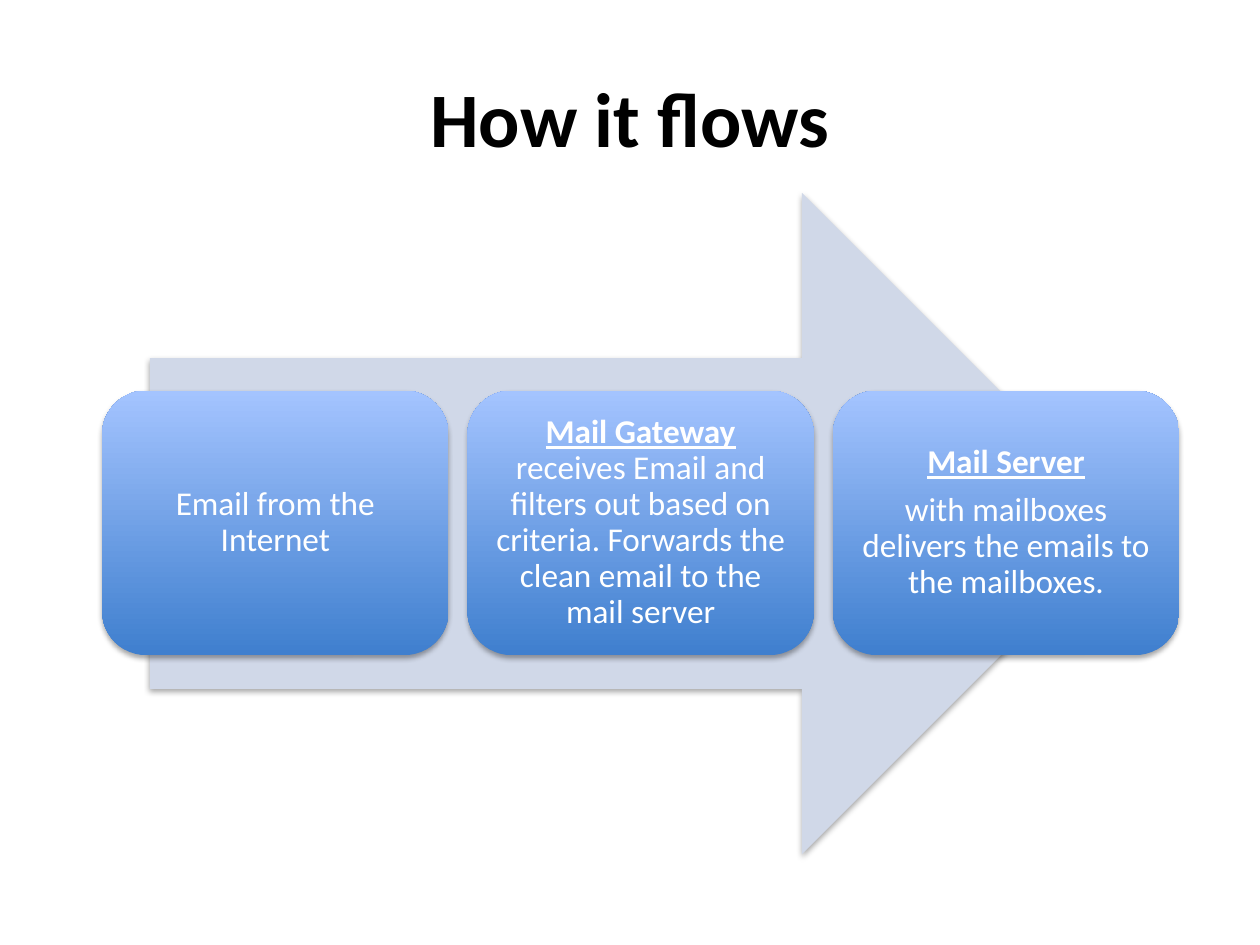
from lxml import etree
from pptx import Presentation
from pptx.dml.color import RGBColor
from pptx.enum.shapes import MSO_SHAPE as Shape
from pptx.enum.text import MSO_ANCHOR as Anchor, PP_ALIGN as Align
from pptx.oxml import parse_xml
from pptx.util import Inches, Pt

BLACK = RGBColor(0x00, 0x00, 0x00)
WHITE = RGBColor(0xFF, 0xFF, 0xFF)
PALE_BLUE = RGBColor(0xD0, 0xD8, 0xE8)
DARK_BLUE = RGBColor(0x3F, 0x7F, 0xCE)
LIGHT_BLUE = RGBColor(0xA4, 0xC4, 0xFF)

SHADOW = """<a:effectLst xmlns:a="http://schemas.openxmlformats.org/drawingml/2006/main">
<a:outerShdw blurRad="39370" dist="22860" dir="5400000" rotWithShape="0">
<a:srgbClr val="000000"><a:alpha val="35000"/></a:srgbClr>
</a:outerShdw></a:effectLst>"""


def write_text(paragraph, text, size=19, color=WHITE, bold=False, underline=False):
    paragraph.alignment = Align.CENTER
    run = paragraph.add_run()
    run.text = text
    run.font.name = "Calibri"
    run.font.size = Pt(size)
    run.font.color.rgb = color
    run.font.bold = bold
    run.font.underline = underline


def add_shadowed_shape(slide, kind, left, top, width, height):
    shape = slide.shapes.add_shape(kind, *map(Inches, (left, top, width, height)))
    shape.line.fill.background()
    properties = shape.fill._xPr
    properties.append(parse_xml(etree.tostring(etree.fromstring(SHADOW))))
    return shape


presentation = Presentation()
presentation.slide_width = Inches(10)
presentation.slide_height = Inches(7.5)
slide = presentation.slides.add_slide(presentation.slide_layouts[5])

title = slide.shapes.title
title.left, title.top, title.width, title.height = map(Inches, (0.5, 0.3, 9, 1.25))
title.text_frame.vertical_anchor = Anchor.MIDDLE
write_text(title.text_frame.paragraphs[0], "How it flows", size=44, color=BLACK, bold=True)

arrow = add_shadowed_shape(slide, Shape.RIGHT_ARROW, 1.19, 1.53, 7.8, 5.25)
arrow.fill.solid()
arrow.fill.fore_color.rgb = PALE_BLUE

steps = [
    [[("Email from the Internet", False)]],
    [[("Mail Gateway ", True),
      ("receives Email and filters out based on criteria. "
       "Forwards the clean email to the mail server", False)]],
    [[("Mail Server", True)],
     [("with mailboxes delivers the emails to the mailboxes.", False)]],
]
first_left, column_step = 0.81, 2.9

for column, paragraphs in enumerate(steps):
    box = add_shadowed_shape(
        slide, Shape.ROUNDED_RECTANGLE, first_left + column * column_step, 3.1, 2.75, 2.1)
    box.fill.gradient()
    box.fill.gradient_angle = 90
    for stop, color, position in zip(
            box.fill.gradient_stops, (DARK_BLUE, LIGHT_BLUE), (0, 1)):
        stop.color.rgb = color
        stop.position = position

    frame = box.text_frame
    frame.word_wrap = True
    frame.vertical_anchor = Anchor.MIDDLE
    frame.margin_left = frame.margin_right = Inches(0.08)
    frame.margin_top = frame.margin_bottom = Inches(0.08)
    for index, runs in enumerate(paragraphs):
        paragraph = frame.add_paragraph() if index else frame.paragraphs[0]
        paragraph.line_spacing = 0.9
        paragraph.space_after = Pt(6.65)
        for text, heading in runs:
            write_text(paragraph, text, bold=heading, underline=heading)

presentation.save("out.pptx")
